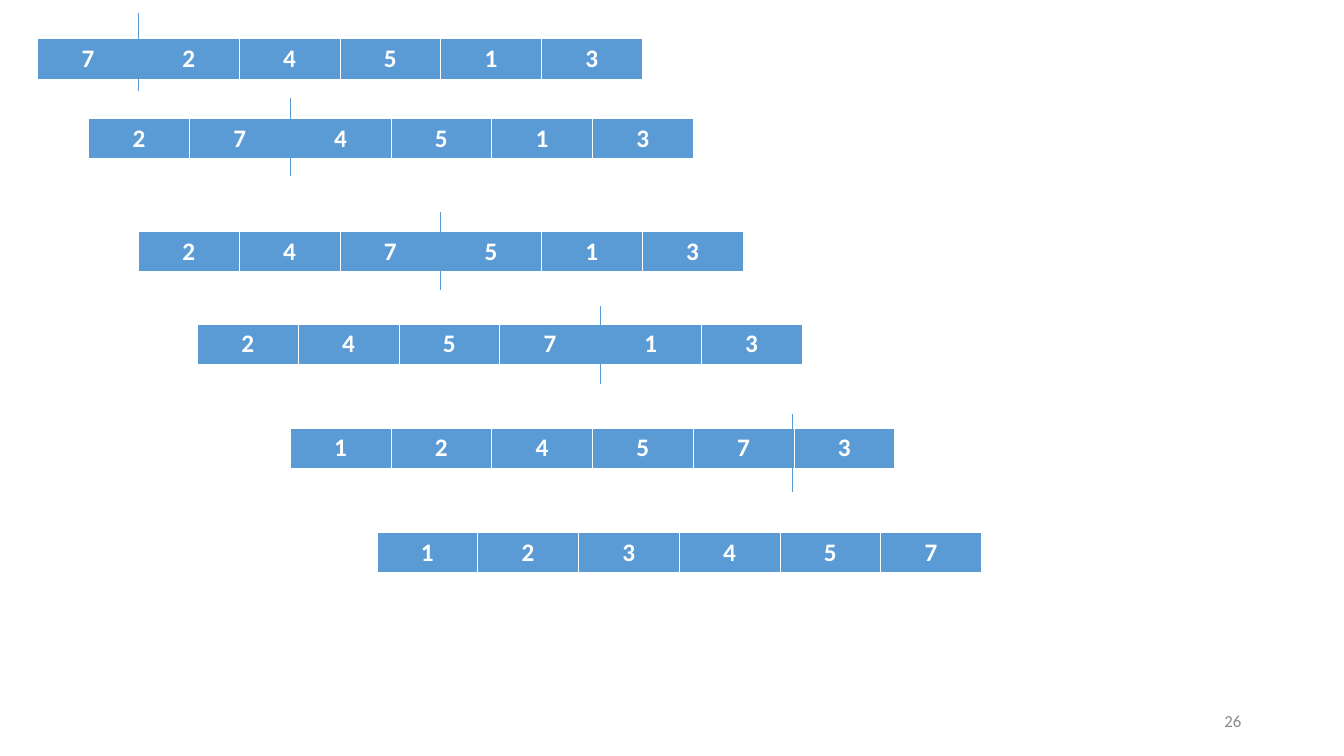
from dataclasses import dataclass
from typing import Any

import pptx
import pptx.dml.color
import pptx.enum.shapes
import pptx.enum.text
import pptx.oxml
import pptx.oxml.ns
import pptx.util

Pt = pptx.util.Pt
ALIGN = pptx.enum.text.PP_ALIGN
BLUE, WHITE, GREY = "5B9BD5", "FFFFFF", "898989"
CELL_W, ROW_H, MARK_H = 72, 29.2, 55.7
BORDERS = {"lnL": 0.45, "lnR": 0.45, "lnT": 0.45, "lnB": 1.47}
DIGIT = dict(name="Calibri", size=Pt(18), bold=True)
PAGE = dict(name="Calibri", size=Pt(12), bold=False)


@dataclass
class Step:
    digits: str
    left: float
    top: float


@dataclass
class Mark:
    x: float
    top: float


STEPS = [
    Step("724513", 26.9, 27.6),
    Step("274513", 63.4, 84.6),
    Step("247513", 98.9, 165.2),
    Step("245713", 141.1, 231.4),
    Step("124573", 207.4, 305.6),
    Step("123457", 269.3, 380.2),
]
MARKS = [
    Mark(98.8, 9.4),
    Mark(207.4, 69.8),
    Mark(314.6, 151.2),
    Mark(428.8, 218.4),
    Mark(566, 295.9),
]


def rgb(color: str) -> pptx.dml.color.RGBColor:
    return pptx.dml.color.RGBColor.from_string(color)


def write(tf: Any, text: str, align: Any, color: str, fmt: dict[str, Any]) -> None:
    p = tf.paragraphs[0]
    p.alignment = align
    r = p.add_run()
    r.text = text
    for key, value in fmt.items():
        setattr(r.font, key, value)
    r.font.color.rgb = rgb(color)


def add_borders(cell: Any) -> None:
    pr = cell._tc.get_or_add_tcPr()
    for i, (tag, width) in enumerate(BORDERS.items()):
        pr.insert(i, pptx.oxml.parse_xml(
            f'<a:{tag} {pptx.oxml.ns.nsdecls("a")} w="{Pt(width)}">'
            f'<a:solidFill><a:srgbClr val="{WHITE}"/></a:solidFill></a:{tag}>'))


def add_step(s: Any, step: Step) -> None:
    n = len(step.digits)
    table = s.shapes.add_table(
        1, n, Pt(step.left), Pt(step.top), Pt(CELL_W * n), Pt(ROW_H)).table
    table.first_row = table.horz_banding = False
    for cell, digit in zip(table.iter_cells(), step.digits):
        cell.fill.solid()
        cell.fill.fore_color.rgb = rgb(BLUE)
        add_borders(cell)
        write(cell.text_frame, digit, ALIGN.CENTER, WHITE, DIGIT)


def add_mark(s: Any, mark: Mark) -> None:
    sp = s.shapes.add_connector(
        pptx.enum.shapes.MSO_CONNECTOR.STRAIGHT,
        Pt(mark.x), Pt(mark.top), Pt(mark.x), Pt(mark.top + MARK_H))
    sp.line.color.rgb = rgb(BLUE)
    sp.line.width = Pt(0.5)
    sp._element.spPr.append(
        pptx.oxml.parse_xml(f'<a:effectLst {pptx.oxml.ns.nsdecls("a")}/>'))


def add_page_number(s: Any, text: str) -> None:
    tf = s.shapes.add_textbox(Pt(678.2), Pt(500.4), Pt(216), Pt(28.8)).text_frame
    tf.word_wrap = True
    tf.vertical_anchor = pptx.enum.text.MSO_ANCHOR.MIDDLE
    write(tf, text, ALIGN.RIGHT, GREY, PAGE)


def main() -> None:
    prs = pptx.Presentation()
    prs.slide_width, prs.slide_height = Pt(960.5), Pt(540)
    s = prs.slides.add_slide(prs.slide_layouts[6])
    for step in STEPS:
        add_step(s, step)
    for mark in MARKS:
        add_mark(s, mark)
    add_page_number(s, "26")
    prs.save("out.pptx")


if __name__ == "__main__":
    main()
